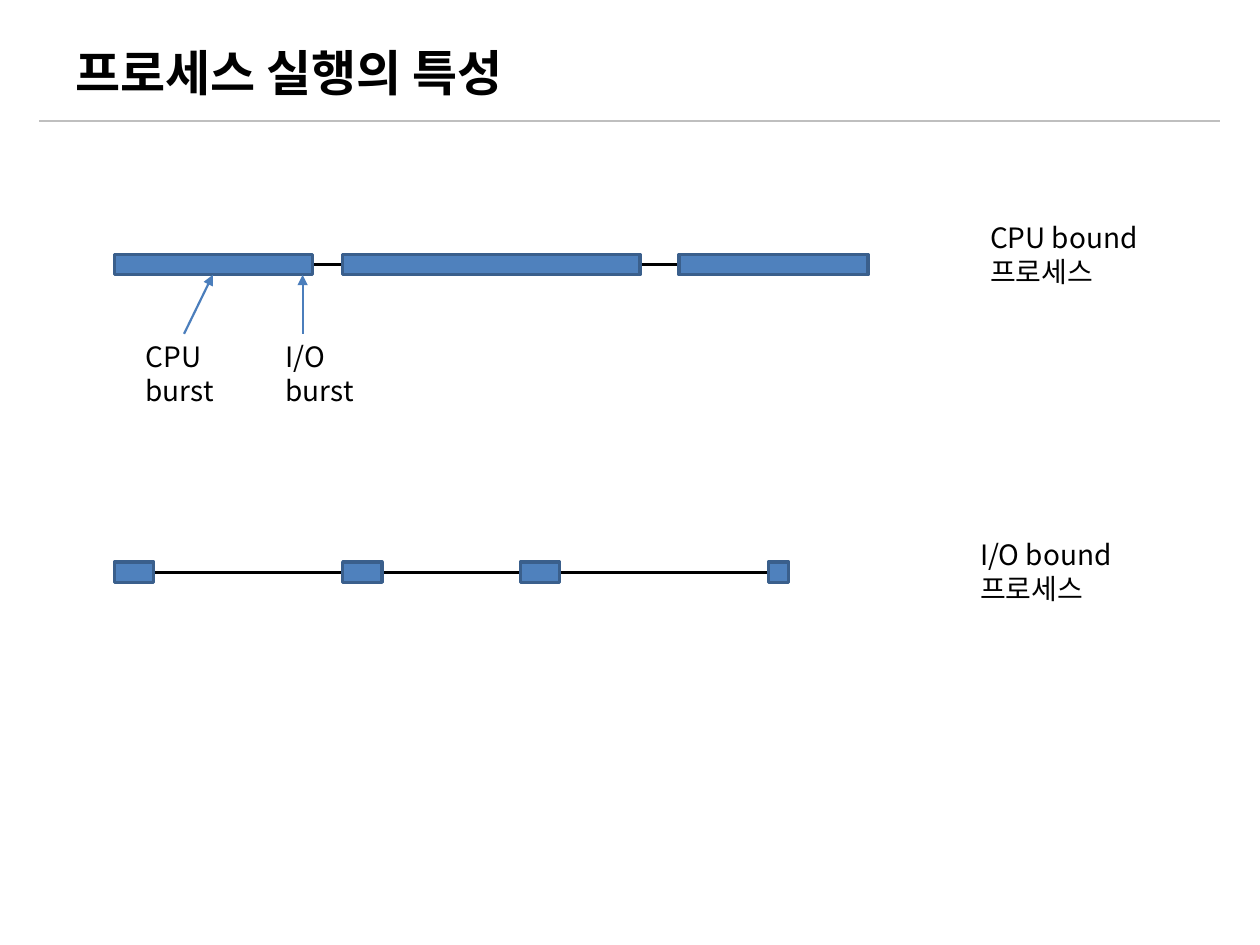
from pptx import Presentation
from pptx.dml.color import RGBColor
from pptx.enum.shapes import MSO_CONNECTOR as CONN, MSO_SHAPE as SHAPE
from pptx.enum.text import MSO_ANCHOR as ANCHOR, PP_ALIGN as ALIGN
from pptx.oxml.ns import qn
from pptx.util import Cm, Pt
from lxml.etree import SubElement

BLACK = RGBColor(0x00, 0x00, 0x00)
GREY = RGBColor(0xBF, 0xBF, 0xBF)
BLUE = RGBColor(0x4F, 0x81, 0xBD)
BLUE_EDGE = RGBColor(0x3A, 0x5F, 0x8C)
BLUE_ARROW = RGBColor(0x4B, 0x7E, 0xBC)
FONT = "Noto Sans CJK KR"
BAR_H = 0.41


def add_line(x1, y1, x2, y2, color, width):
    c = s.shapes.add_connector(CONN.STRAIGHT, Cm(x1), Cm(y1), Cm(x2), Cm(y2))
    c.line.color.rgb = color
    c.line.width = Pt(width)
    SubElement(c._element.spPr, qn("a:effectLst"))
    return c


def set_text(tf, text, size, bold=False):
    tf.word_wrap = True
    p = tf.paragraphs[0]
    p.text = text
    p.alignment = ALIGN.LEFT
    p.font.size = Pt(size)
    p.font.bold = bold
    p.font.color.rgb = BLACK
    p.font.name = FONT
    SubElement(p._p.pPr.find(qn("a:defRPr")), qn("a:ea"), typeface=FONT)
    return p


prs = Presentation()
prs.slide_width, prs.slide_height = Cm(25.4), Cm(19.05)
s = prs.slides.add_slide(prs.slide_layouts[5])

add_line(0.79, 2.44, 24.59, 2.44, GREY, 0.75)

title = s.shapes.title
title.left, title.top, title.width, title.height = Cm(1.27), Cm(0.76), Cm(22.86), Cm(1.37)
title.text_frame.vertical_anchor = ANCHOR.MIDDLE
set_text(title.text_frame, "프로세스 실행의 특성", 28, True)

processes = [
    (5.13, [(2.31, 3.99), (6.91, 5.99), (13.69, 3.81)], [(6.3, 6.91), (12.9, 13.69)]),
    (11.33, [(2.31, 0.79), (6.91, 0.79), (10.49, 0.79), (15.49, 0.41)],
     [(3.1, 6.91), (7.7, 15.49)]),
]
for top, cpu_bursts, io_bursts in processes:
    mid = top + BAR_H / 2
    for start, end in io_bursts:
        add_line(start, mid, end, mid, BLACK, 1.5)
    for left, width in cpu_bursts:
        bar = s.shapes.add_shape(SHAPE.RECTANGLE, Cm(left), Cm(top), Cm(width), Cm(BAR_H))
        bar.shadow.inherit = False
        bar.fill.solid()
        bar.fill.fore_color.rgb = BLUE
        bar.line.color.rgb = BLUE_EDGE
        bar.line.width = Pt(2)

for tip, foot in [(4.29, 3.71), (6.1, 6.1)]:
    arrow = add_line(tip, 5.54, foot, 6.73, BLUE_ARROW, 1.25)
    SubElement(arrow.line._get_or_add_ln(), qn("a:headEnd"), type="triangle")

labels = [
    ("CPU burst", 2.69, 6.73, 2.01),
    ("I/O burst", 5.51, 6.73, 2.01),
    ("CPU bound 프로세스", 19.71, 4.32, 3.81),
    ("I/O bound 프로세스", 19.51, 10.72, 3.81),
]
for text, left, top, width in labels:
    box = s.shapes.add_textbox(Cm(left), Cm(top), Cm(width), Cm(1.63))
    p = set_text(box.text_frame, text, 16)
    p.line_spacing = Pt(19.2)

prs.save("out.pptx")
